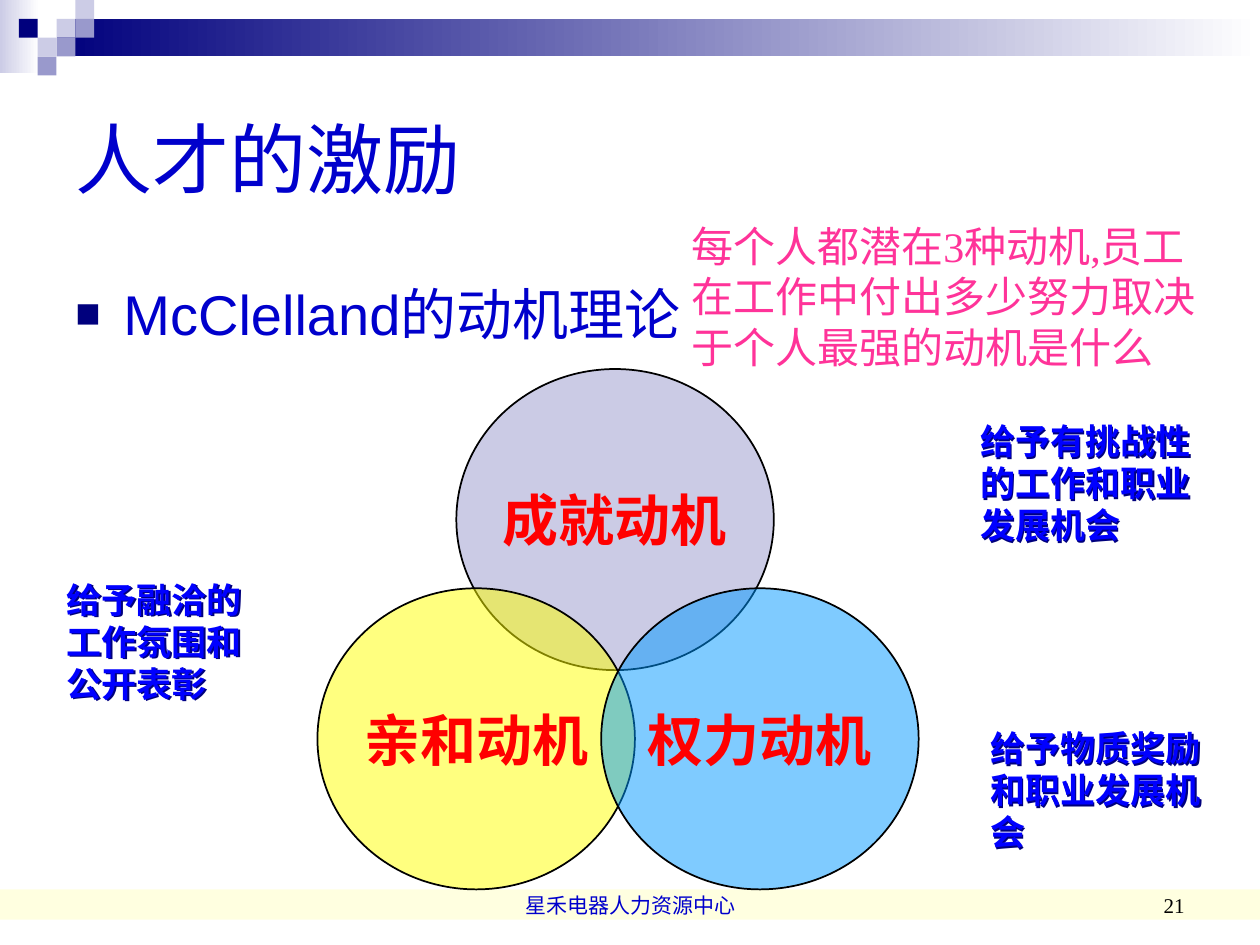
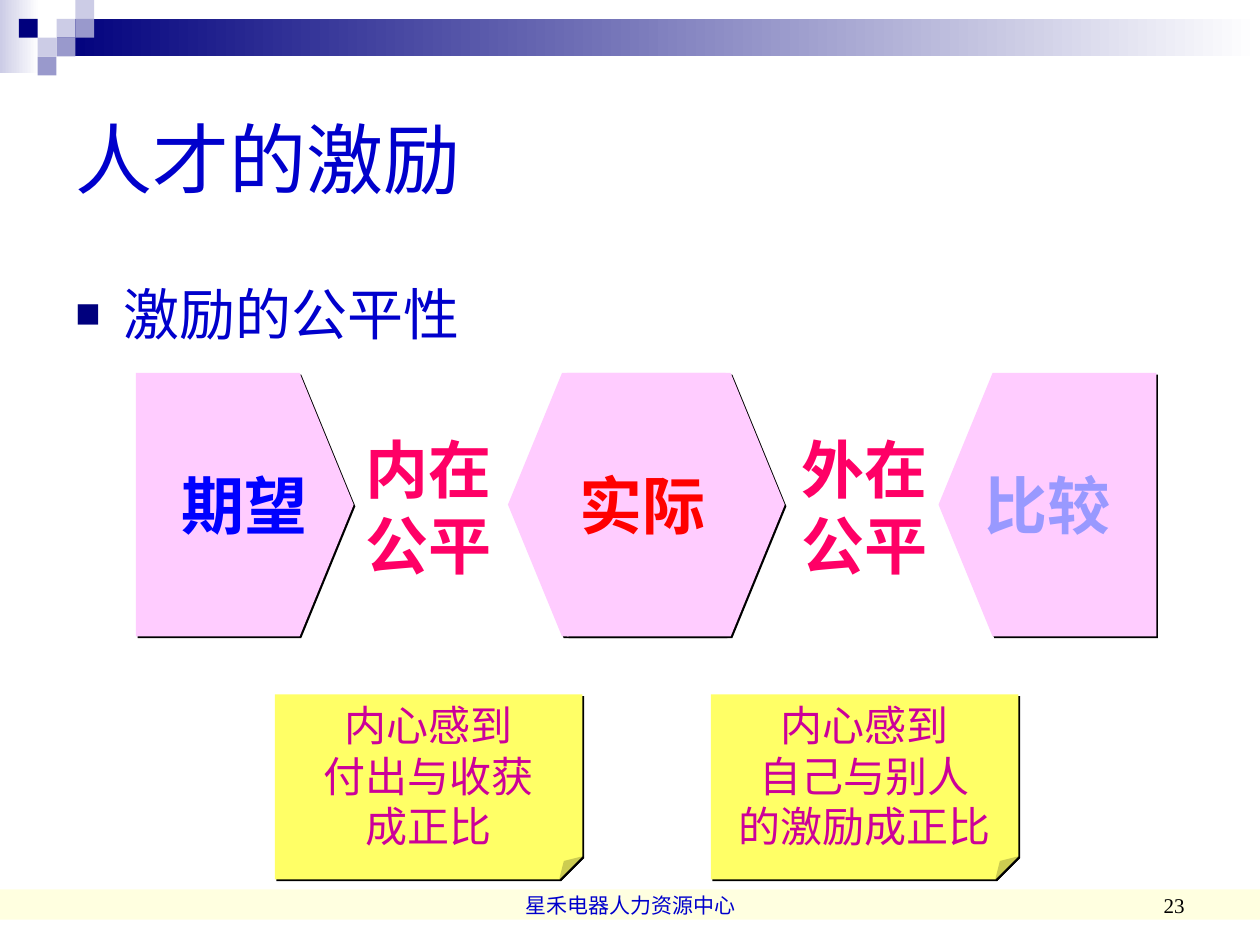
from lxml import etree
from pptx import Presentation
from pptx import util as u
from pptx.dml.color import RGBColor
from pptx.enum import shapes, text
from pptx.oxml.ns import qn

COLORS = {
    "navy": "00007D", "mid": "9999CC", "light": "CCCCE6", "white": "FFFFFF",
    "cream": "FFFF99", "title": "0000CC", "black": "000000", "red": "FF0000",
    "yellow": "FFFF00", "sky": "0099FF", "pink": "FF3399", "blue": "0000FF",
    "petal": "FFCCFF", "periwinkle": "9999FF", "rose": "FF0066",
    "note": "FFFF66", "magenta": "CC0099",
}
SERIF, SANS = "Times New Roman", "Arial"
LEFT, CENTER, RIGHT = text.PP_ALIGN.LEFT, text.PP_ALIGN.CENTER, text.PP_ALIGN.RIGHT
TOP, MIDDLE, BOTTOM = text.MSO_ANCHOR.TOP, text.MSO_ANCHOR.MIDDLE, text.MSO_ANCHOR.BOTTOM
SHAPE = shapes.MSO_SHAPE
TILE = 0.38
TILES = [(3, 1, "light"), (4, 0, "light"), (4, 1, "mid"), (2, 2, "light"),
         (1, 1, "navy"), (3, 2, "mid"), (2, 3, "mid")]
FLAG_WIDTH, FLAG_HEIGHT, FLAG_SHOULDER = 4.39, 5.31, 3.3


def rgb(name):
    return RGBColor.from_string(COLORS[name])


def lengths(*values):
    return [u.Cm(value) for value in values]


def paint(shape, color, opacity=100):
    shape.shadow.inherit = False
    shape.line.fill.background()
    shape.fill.solid()
    shape.fill.fore_color.rgb = rgb(color)
    if opacity < 100:
        fill_color = shape._element.spPr.find(qn("a:solidFill"))[0]
        etree.SubElement(fill_color, qn("a:alpha"), val=str(opacity * 1000))


def add_drop_shadow(shape, color):
    shape.shadow.inherit = False
    effects = shape._element.spPr.find(qn("a:effectLst"))
    shadow = etree.SubElement(effects, qn("a:outerShdw"), dist=str(u.Pt(1.4)),
                              dir="2700000", algn="ctr", rotWithShape="0")
    etree.SubElement(shadow, qn("a:srgbClr"), val=COLORS[color])


def write(shape, content, size, color, font=SERIF, bold=False,
          align=LEFT, anchor=TOP, wrap=True):
    frame = shape.text_frame
    frame.text = content
    frame.auto_size = text.MSO_AUTO_SIZE.NONE
    frame.word_wrap = wrap
    frame.vertical_anchor = anchor
    for para in frame.paragraphs:
        para.alignment = align
        para.font.name = font
        para.font.size = u.Pt(size)
        para.font.bold = bold
        para.font.color.rgb = rgb(color)


def add_text(page, box, content, size, color, **style):
    label = page.shapes.add_textbox(*lengths(*box))
    write(label, content, size, color, **style)
    return label


def add_block(page, box, color, opacity=100, kind=SHAPE.RECTANGLE):
    block = page.shapes.add_shape(kind, *lengths(*box))
    paint(block, color, opacity)
    return block


def add_fade(page, box, color):
    fade = add_block(page, box, color)
    fade.fill.gradient()
    fade.fill.gradient_angle = 0
    for stop, name, position in zip(fade.fill.gradient_stops, (color, "white"), (0, 1)):
        stop.color.rgb = rgb(name)
        stop.position = position


def add_bullet(page, content):
    box = page.shapes.add_textbox(*lengths(1.27, 5.51, 22.86, 1.8))
    box.text_frame.text = content
    box.text_frame.word_wrap = True
    para = box.text_frame.paragraphs[0]
    properties = para._p.get_or_add_pPr()
    properties.set("marL", str(u.Cm(0.97)))
    properties.set("indent", str(u.Cm(-0.97)))
    bullet_color = etree.SubElement(properties, qn("a:buClr"))
    etree.SubElement(bullet_color, qn("a:srgbClr"), val=COLORS["navy"])
    etree.SubElement(properties, qn("a:buSzPct"), val="75000")
    etree.SubElement(properties, qn("a:buFont"), typeface=SANS)
    etree.SubElement(properties, qn("a:buChar"), char="■")
    para.font.name = SANS
    para.font.size = u.Pt(32)
    para.font.color.rgb = rgb("title")


def add_page(deck, topic, number):
    page = deck.slides.add_slide(deck.slide_layouts[5])
    add_block(page, (0, 17.93, 25.4, 0.61), "cream", 30)
    add_fade(page, (0, 0, 0.79, 1.47), "light")
    add_fade(page, (3 * TILE, TILE, 24.26, 2 * TILE), "navy")
    for column, row, color in TILES:
        add_block(page, (column * TILE, row * TILE, TILE, TILE), color)
    title = page.shapes.title
    title.left, title.top, title.width, title.height = lengths(1.27, 1.27, 22.86, 3.81)
    write(title, "人才的激励", 44, "title", font=SANS, anchor=MIDDLE)
    add_bullet(page, topic)
    add_text(page, (8.69, 17.35, 8.05, 1.27), "星禾电器人力资源中心", 12, "title",
             align=CENTER, anchor=BOTTOM)
    add_text(page, (18.21, 17.35, 5.92, 1.27), number, 12, "black",
             align=RIGHT, anchor=BOTTOM)
    return page


def add_motive(page, left, top, color, name):
    circle = add_block(page, (left, top, 6.4, 6.07), color, 50, SHAPE.OVAL)
    circle.line.color.rgb = rgb("black")
    circle.line.width = u.Pt(1)
    write(circle, name, 32, "red", bold=True, align=CENTER, anchor=MIDDLE, wrap=False)


def add_flag(page, left, points_right):
    top, bottom = 7.52, 7.52 + FLAG_HEIGHT
    outline = [(0, top), (FLAG_SHOULDER, top), (FLAG_WIDTH, top + FLAG_HEIGHT / 2),
               (FLAG_SHOULDER, bottom), (0, bottom)]
    points = [lengths(left + (x if points_right else FLAG_WIDTH - x), y)
              for x, y in outline]
    builder = page.shapes.build_freeform(*points[0])
    builder.add_line_segments(points[1:], close=True)
    flag = builder.convert_to_shape()
    paint(flag, "petal")
    add_drop_shadow(flag, "black")
    return flag


def add_note(page, left, content):
    note = add_block(page, (left, 14, 6.2, 3.73), "note", kind=SHAPE.FOLDED_CORNER)
    guides = note._element.spPr.find(qn("a:prstGeom")).get_or_add_avLst()
    etree.SubElement(guides, qn("a:gd"), name="adj", fmla="val 12500")
    add_drop_shadow(note, "black")
    write(note, content, 24, "magenta", align=CENTER, anchor=MIDDLE)


def build_motives(deck):
    page = add_page(deck, "McClelland的动机理论", "21")
    for motive in [(9.2, 7.44, "mid", "成就动机"),
                   (6.4, 11.86, "yellow", "亲和动机"),
                   (12.12, 11.86, "sky", "权力动机")]:
        add_motive(page, *motive)
    add_text(page, (13.69, 4.32, 11, 3.3),
             "每个人都潜在3种动机,员工在工作中付出多少努力取决于个人最强的动机是什么",
             24, "pink")
    for left, top, width, advice in [
            (19.51, 8.33, 5.23, "给予有挑战性的工作和职业发展机会"),
            (1.09, 11.53, 4.39, "给予融洽的工作氛围和公开表彰"),
            (19.71, 14.53, 4.8, "给予物质奖励和职业发展机会")]:
        label = add_text(page, (left, top, width, 2.79), advice, 20, "blue", bold=True)
        label.fill.background()
        add_drop_shadow(label, "navy")


def build_fairness(deck):
    page = add_page(deck, "激励的公平性", "23")
    for left, points_right, name, color, align in [
            (2.74, True, "期望", "blue", CENTER),
            (10.24, False, None, None, None),
            (11.43, True, "实际", "red", LEFT),
            (18.92, False, "比较", "periwinkle", CENTER)]:
        flag = add_flag(page, left, points_right)
        if name:
            write(flag, name, 36, color, bold=True, align=align, anchor=MIDDLE)
    for index, (fairness, feeling) in enumerate([
            ("内在\n公平", "内心感到\n付出与收获\n成正比"),
            ("外在\n公平", "内心感到\n自己与别人\n的激励成正比")]):
        shift = index * 8.79
        add_text(page, (7.11 + shift, 8.56, 3.05, 3.3), fairness, 36, "rose",
                 bold=True, align=CENTER, anchor=MIDDLE, wrap=False)
        add_note(page, 5.54 + shift, feeling)


def main():
    deck = Presentation()
    deck.slide_width, deck.slide_height = lengths(25.4, 19.05)
    build_motives(deck)
    build_fairness(deck)
    deck.save("out.pptx")


if __name__ == "__main__":
    main()
